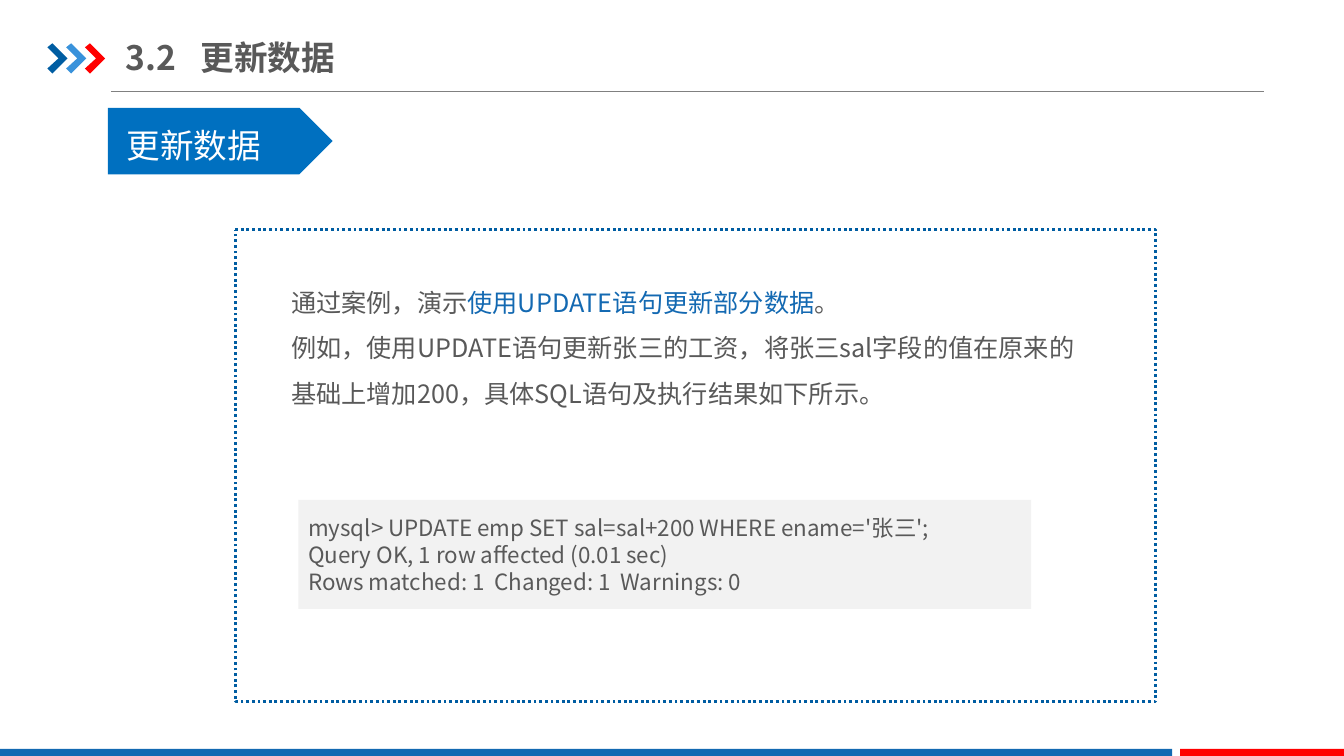
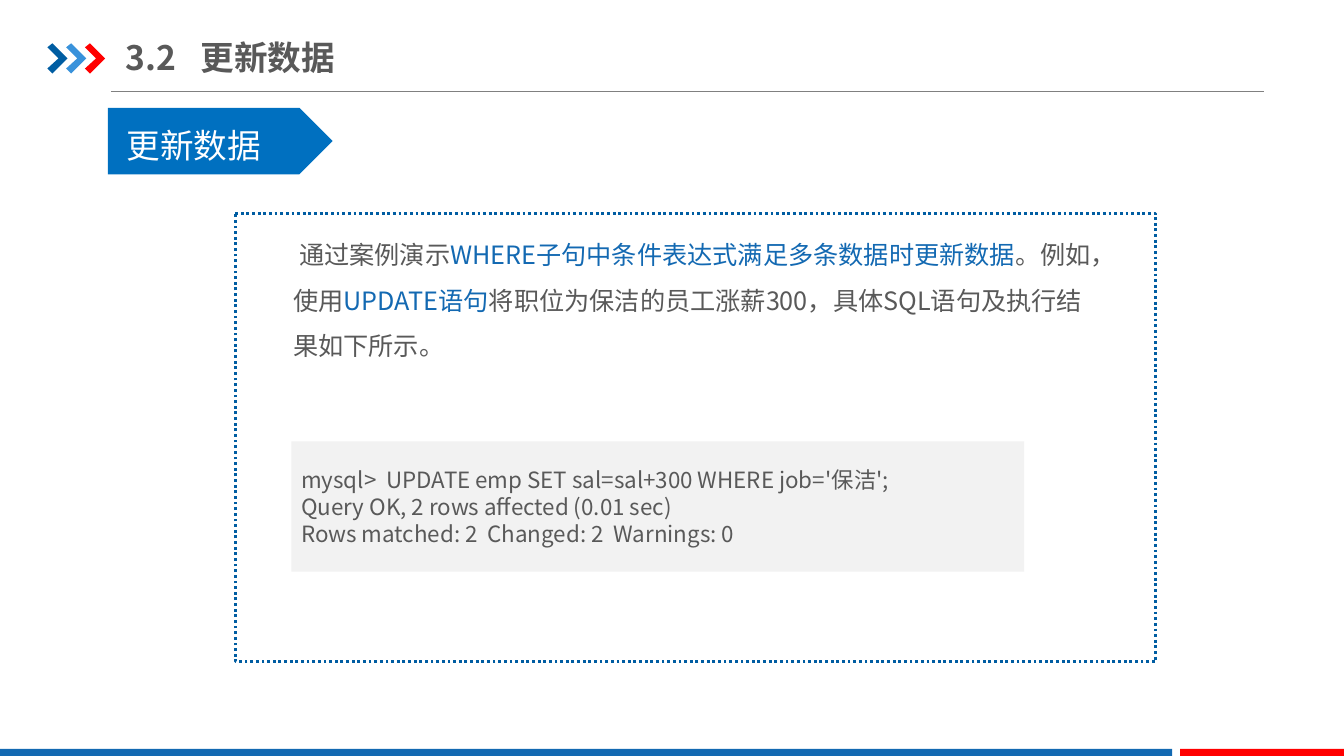
"""Build two slides on updating data with the SQL UPDATE statement."""
from pptx import Presentation
from pptx.dml.color import RGBColor
from pptx.enum.dml import MSO_LINE
from pptx.enum.shapes import MSO_CONNECTOR, MSO_SHAPE as SHAPE
from pptx.enum.text import MSO_ANCHOR as ANCHOR, PP_ALIGN
from pptx.oxml.ns import qn
from pptx.util import Inches, Pt
from lxml.etree import SubElement

FONT = "Noto Sans CJK SC"
BLUE, NAVY, SKY, RED = "1369B2", "005DA2", "3992DB", "FF0000"
TAG, TEXT, RULE, CODE, WHITE = "0070C0", "595959", "808080", "F2F2F2", "FFFFFF"
COLS, ROWS = 160, 90
CELL = Inches(7.5) / ROWS
CHEVRON = [(0, 0.48), (0.6, 0), (2.4, 1.8), (0.6, 3.6), (0, 3), (1.32, 1.8)]

prs = Presentation()
prs.slide_width, prs.slide_height = round(COLS * CELL), round(ROWS * CELL)


def box(shapes, cells, fill=None, kind=SHAPE.RECTANGLE):
    place = [round(c * CELL) for c in cells]
    if fill is None:
        sp = shapes.add_textbox(*place)
        sp.text_frame.word_wrap = True
        return sp
    sp = shapes.add_shape(kind, *place)
    sp.shadow.inherit = False
    sp.fill.solid()
    sp.fill.fore_color.rgb = RGBColor.from_string(fill)
    sp.line.fill.background()
    return sp


def write(tf, lines, size, colors=(TEXT, BLUE), spacing=1.0, bold=False):
    tf.text = "\n".join(lines)
    for p in tf.paragraphs:
        p.alignment, p.line_spacing = PP_ALIGN.LEFT, spacing
        first, *rest = p.text.split("|")
        p.text = first
        for part in rest:
            p.add_run().text = part
        for i, r in enumerate(p.runs):
            r.font.size, r.font.bold, r.font.name = Pt(size), bold, FONT
            r.font.color.rgb = RGBColor.from_string(colors[i % 2])
            SubElement(r.font._element, qn("a:ea")).set("typeface", FONT)


cases = [
    dict(
        frame=(28, 27.36, 109.6, 56.16), body=(33.48, 31.8, 98.52, 17.52),
        code=(35.52, 59.52, 87.24, 12.96), indent=0,
        text=["通过案例，演示|使用UPDATE语句更新部分数据|。",
              "例如，使用UPDATE语句更新张三的工资，将张三sal字段的值在原来的基础上增加200，"
              "具体SQL语句及执行结果如下所示。"],
        sql=["mysql> UPDATE emp SET sal=sal+200 WHERE ename='张三';",
             "Query OK, 1 row affected (0.01 sec)",
             "Rows matched: 1  Changed: 1  Warnings: 0"]),
    dict(
        frame=(28, 25.44, 109.6, 53.28), body=(33.72, 26.16, 98.52, 17.52),
        code=(34.68, 52.56, 87.24, 15.48), indent=0.7,
        text=["通过案例演示|WHERE子句中条件表达式满足多条数据时更新数据|。例如，使用|UPDATE语句|"
              "将职位为保洁的员工涨薪300，具体SQL语句及执行结果如下所示。"],
        sql=["mysql>  UPDATE emp SET sal=sal+300 WHERE job='保洁';",
             "Query OK, 2 rows affected (0.01 sec)",
             "Rows matched: 2  Changed: 2  Warnings: 0"]),
]

for case in cases:
    s = prs.slides.add_slide(prs.slide_layouts[6])

    rule = s.shapes.add_connector(
        MSO_CONNECTOR.STRAIGHT, *[round(c * CELL) for c in (13.2, 10.92, 150.5, 10.92)])
    rule.line.color.rgb = RGBColor.from_string(RULE)
    rule.line.width = Pt(0.75)
    SubElement(rule._element.spPr, qn("a:effectLst"))

    chevrons = s.shapes.add_group_shape()
    for i, color in enumerate((NAVY, SKY, RED)):
        points = [(round((5.64 + 2.24 * i + x) * CELL), round((5.16 + y) * CELL))
                  for x, y in CHEVRON]
        builder = chevrons.shapes.build_freeform(*points[0])
        builder.add_line_segments(points[1:])
        sp = builder.convert_to_shape()
        sp.shadow.inherit = False
        sp.fill.solid()
        sp.fill.fore_color.rgb = RGBColor.from_string(color)
        sp.line.fill.background()

    box(s.shapes, (0, 89.16, 139.56, 0.84), BLUE)
    box(s.shapes, (140.5, 89.16, 19.5, 0.84), RED)

    frame = box(s.shapes, case["frame"], WHITE, SHAPE.FLOWCHART_PROCESS)
    frame.line.color.rgb = RGBColor.from_string(NAVY)
    frame.line.width = Pt(2)
    frame.line.dash_style = MSO_LINE.ROUND_DOT

    body = box(s.shapes, case["body"])
    write(body.text_frame, case["text"], 18, spacing=1.5)
    pPr = body.text_frame.paragraphs[0]._p.get_or_add_pPr()
    pPr.set("indent", str(round(case["indent"] * CELL)))

    title = box(s.shapes, (15, 3.48, 51.12, 6.6))
    tf = title.text_frame
    tf.vertical_anchor = ANCHOR.MIDDLE
    tf.margin_left = tf.margin_right = 0
    tf.margin_top = tf.margin_bottom = Inches(0.07)
    write(tf, ["3.2\t更新数据"], 24, bold=True)
    tabs = SubElement(tf.paragraphs[0]._p.get_or_add_pPr(), qn("a:tabLst"))
    tab = SubElement(tabs, qn("a:tab"))
    tab.set("pos", str(round(8.9 * CELL)))
    tab.set("algn", "l")

    tag = s.shapes.add_group_shape()
    box(tag.shapes, (12.84, 12.84, 26.76, 7.92), TAG, SHAPE.PENTAGON)
    label = box(tag.shapes, (13.92, 11.88, 24.72, 8.52))
    write(label.text_frame, ["更新数据"], 24, (WHITE, WHITE), 1.5)

    code = box(s.shapes, case["code"], CODE)
    code.text_frame.vertical_anchor = ANCHOR.MIDDLE
    write(code.text_frame, case["sql"], 16)

prs.save("out.pptx")
